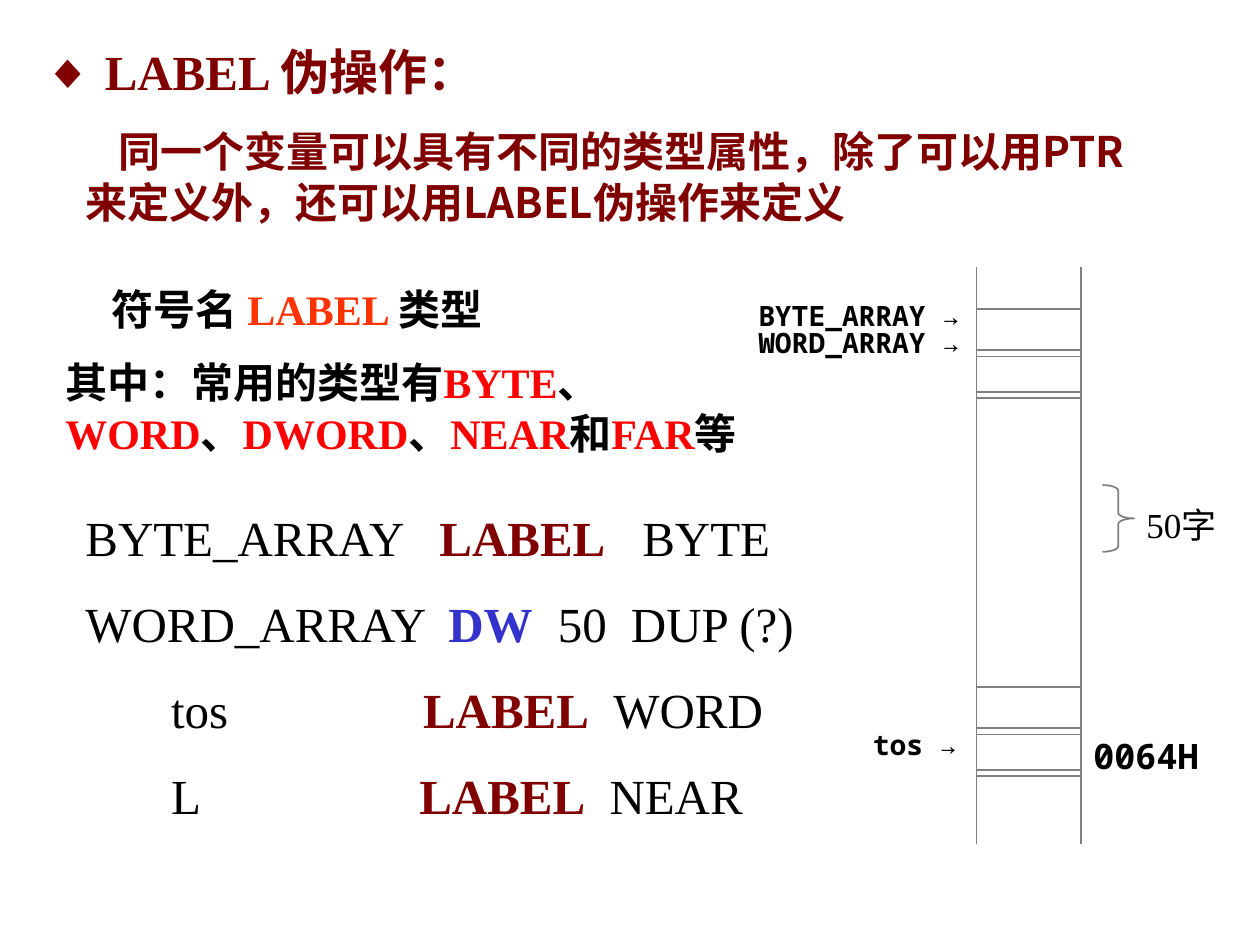
from lxml import etree
from pptx import Presentation
from pptx.dml.color import RGBColor
from pptx.enum.shapes import MSO_CONNECTOR, MSO_SHAPE
from pptx.enum.text import MSO_ANCHOR
from pptx.oxml.ns import qn
from pptx.util import Inches, Pt

STRAIGHT = MSO_CONNECTOR.STRAIGHT
RECTANGLE, BRACE = MSO_SHAPE.RECTANGLE, MSO_SHAPE.RIGHT_BRACE
TOP, MIDDLE = MSO_ANCHOR.TOP, MSO_ANCHOR.MIDDLE

BLACK = RGBColor(0x00, 0x00, 0x00)
MAROON = RGBColor(0x80, 0x00, 0x00)
BLUE = RGBColor(0x33, 0x33, 0xCC)
ORANGE = RGBColor(0xFF, 0x33, 0x00)
RED = RGBColor(0xFF, 0x00, 0x00)
GRAY = RGBColor(0x80, 0x80, 0x80)

SERIF, SANS, MONO = "Times New Roman", "Noto Sans CJK SC", "Noto Sans Mono"


def add_text(slide, box, lines, size, font, bold=True, anchor=TOP, spacing=None):
    """Each line is a list of (text, colour[, bold[, font]]) pieces."""
    frame = slide.shapes.add_textbox(*map(Inches, box)).text_frame
    frame.word_wrap = True
    frame.vertical_anchor = anchor
    for number, pieces in enumerate(lines):
        paragraph = frame.add_paragraph() if number else frame.paragraphs[0]
        paragraph.line_spacing = spacing
        if number and spacing is None:
            paragraph.space_before = Pt(size * 0.55)
        for text, color, *style in pieces:
            run = paragraph.add_run()
            run.text = text
            run.font.size = Pt(size)
            run.font.bold = style[0] if style else bold
            run.font.name = style[1] if len(style) > 1 else font
            run.font.color.rgb = color
            east_asian = etree.SubElement(run.font._element, qn("a:ea"))
            east_asian.set("typeface", SANS)
    return frame.paragraphs


def indent_first_line(paragraph, width):
    properties = paragraph._p.get_or_add_pPr()
    properties.set("marL", "0")
    properties.set("indent", str(Inches(width)))


def set_tabs(paragraph, stops):
    tabs = etree.SubElement(paragraph._p.get_or_add_pPr(), qn("a:tabLst"))
    for stop in stops:
        etree.SubElement(tabs, qn("a:tab"), pos=str(Inches(stop)), algn="l")


def outline(shape):
    shape.line.color.rgb = GRAY
    shape.line.width = Pt(1)


def add_introduction(slide, left, top):
    add_text(slide, (left, top, 6.5, 0.57), [[("◆ LABEL 伪操作：", MAROON)]], 28, SERIF)
    purpose = "同一个变量可以具有不同的类型属性，除了可以用PTR来定义外，还可以用LABEL伪操作来定义"
    paragraphs = add_text(slide, (left + 0.33, top + 0.67, 8.67, 0.9),
                          [[(purpose, MAROON)]], 24, SANS)
    indent_first_line(paragraphs[0], 0.26)


def add_syntax(slide, left, top):
    form = [("符号名 ", BLACK, True, SANS), ("LABEL ", ORANGE), ("类型", BLACK)]
    kinds = [("其中：常用的类型有", BLACK)]
    for kind, separator in zip(("BYTE", "WORD", "DWORD", "NEAR", "FAR"), "、、、和等"):
        kinds += [(kind, RED), (separator, BLACK)]
    paragraphs = add_text(slide, (left, top, 5.69, 1.5), [form, kinds], 24, SERIF)
    indent_first_line(paragraphs[0], 0.37)


def add_code(slide, left, top):
    # symbol, directive, directive colour, operands, tab stops
    statements = [
        ("BYTE_ARRAY", "LABEL", MAROON, "BYTE", (2.81, 4.42)),
        ("WORD_ARRAY", "DW", BLUE, "50\tDUP (?)", (2.88, 3.75, 4.33)),
        ("\ttos", "LABEL", MAROON, "WORD", (0.68, 2.68, 4.19)),
        ("\tL", "LABEL", MAROON, "NEAR", (0.68, 2.65, 4.16)),
    ]
    lines = [[(symbol + "\t", BLACK), (directive, color, True), ("\t" + operands, BLACK)]
             for symbol, directive, color, operands, _ in statements]
    paragraphs = add_text(slide, (left, top, 6.17, 2.67), lines, 28, SERIF, False, MIDDLE)
    for paragraph, statement in zip(paragraphs, statements):
        set_tabs(paragraph, statement[-1])


def add_memory(slide, left, top):
    width = 0.83
    # Double-ruled cells
    for cell_top in (0.33, 0.66, 3.33, 3.66):
        for height in (0.33, 0.38):
            cell = slide.shapes.add_shape(RECTANGLE, Inches(left), Inches(top + cell_top),
                                          Inches(width), Inches(height))
            cell.shadow.inherit = False
            cell.fill.background()
            outline(cell)
    # Side walls
    for x in (left, left + width):
        for start, end in ((0, 0.41), (0.66, 4.58)):
            wall = slide.shapes.add_connector(STRAIGHT, Inches(x), Inches(top + start),
                                              Inches(x), Inches(top + end))
            outline(wall)
            etree.SubElement(wall._element.spPr, qn("a:effectLst"))
    # Pointers on the left
    add_text(slide, (left - 1.83, top + 0.25, 2, 0.53),
             [[("BYTE_ARRAY →", BLACK)], [("WORD_ARRAY →", BLACK)]], 16, MONO, spacing=0.8)
    add_text(slide, (left - 0.92, top + 3.66, 1, 0.31),
             [[("tos →", BLACK)]], 16, MONO, spacing=0.8)
    # Size and offset on the right
    brace = slide.shapes.add_shape(BRACE, Inches(left + 1), Inches(top + 1.73),
                                   Inches(0.25), Inches(0.53))
    brace.adjustments[0] = 0.18
    brace.shadow.inherit = False
    brace.fill.background()
    outline(brace)
    add_text(slide, (left + 1.25, top + 1.83, 0.92, 0.43), [[("50字", BLACK)]], 20, SERIF, False)
    add_text(slide, (left + width, top + 3.66, 1.08, 0.43), [[("0064H", BLACK)]], 20, MONO)


presentation = Presentation()
presentation.slide_width = Inches(10)
presentation.slide_height = Inches(7.5)
label_slide = presentation.slides.add_slide(presentation.slide_layouts[6])

add_introduction(label_slide, 0.25, 0.28)
add_syntax(label_slide, 0.42, 2.2)
add_code(label_slide, 0.58, 3.95)
add_memory(label_slide, 7.75, 2.12)

presentation.save("out.pptx")
